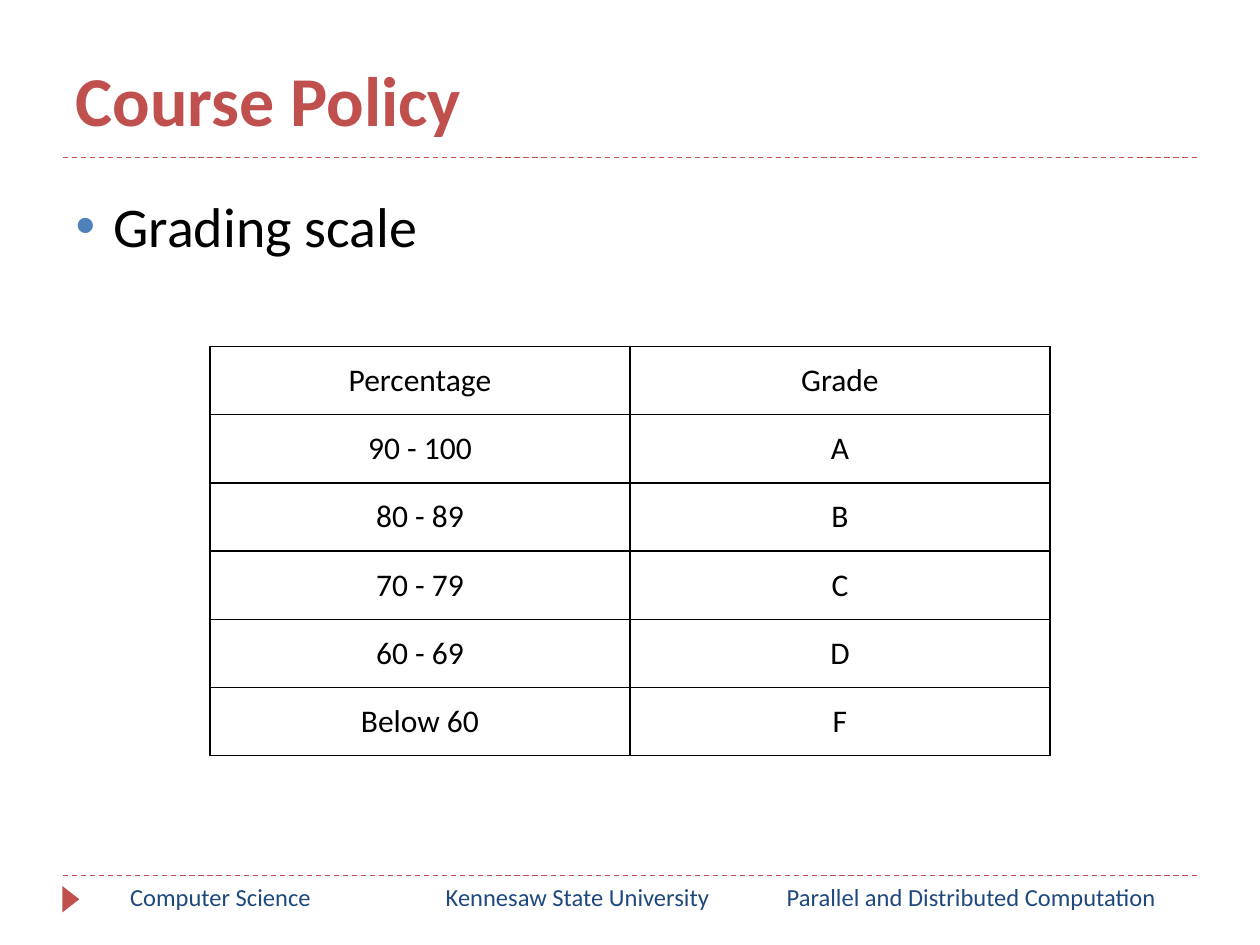
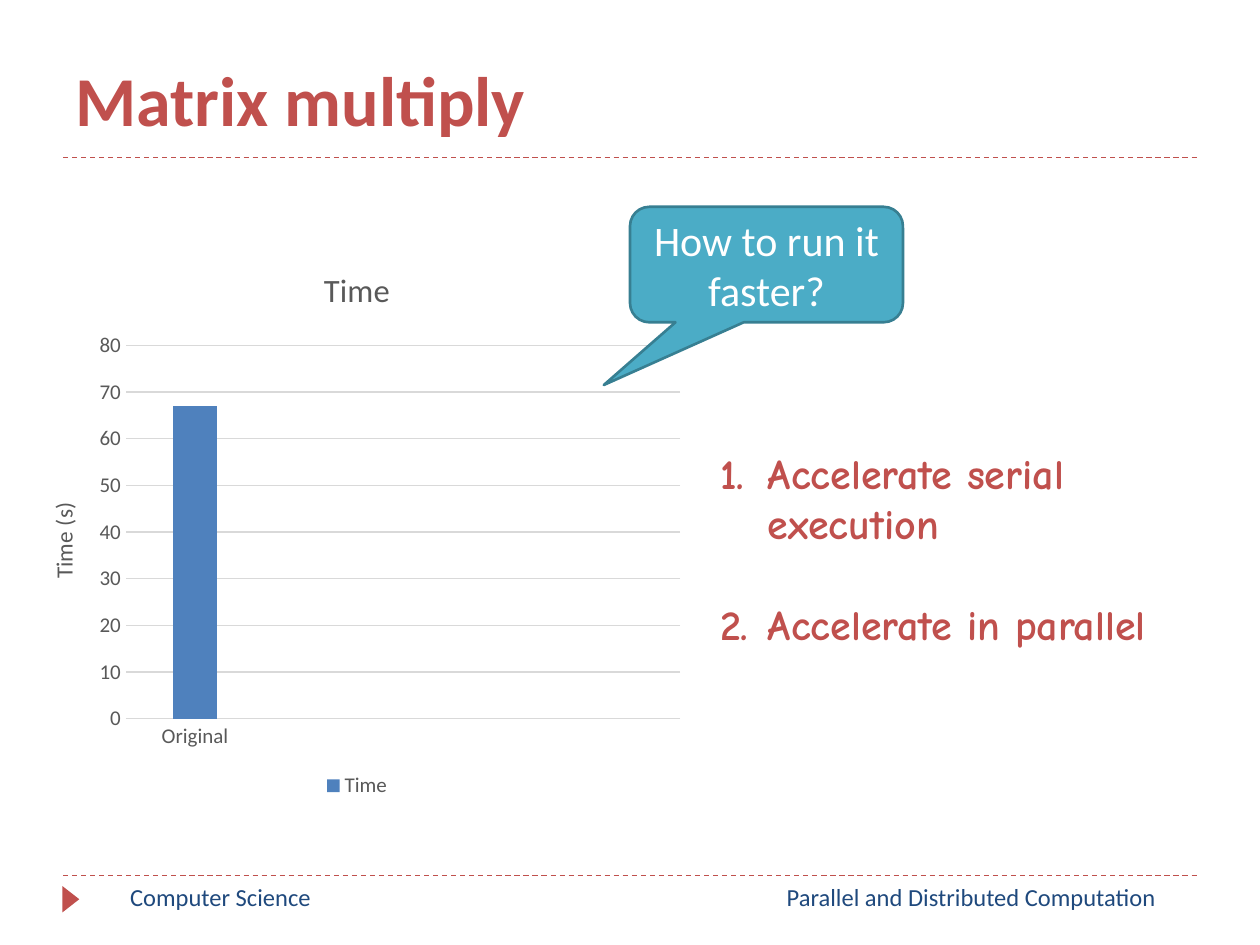
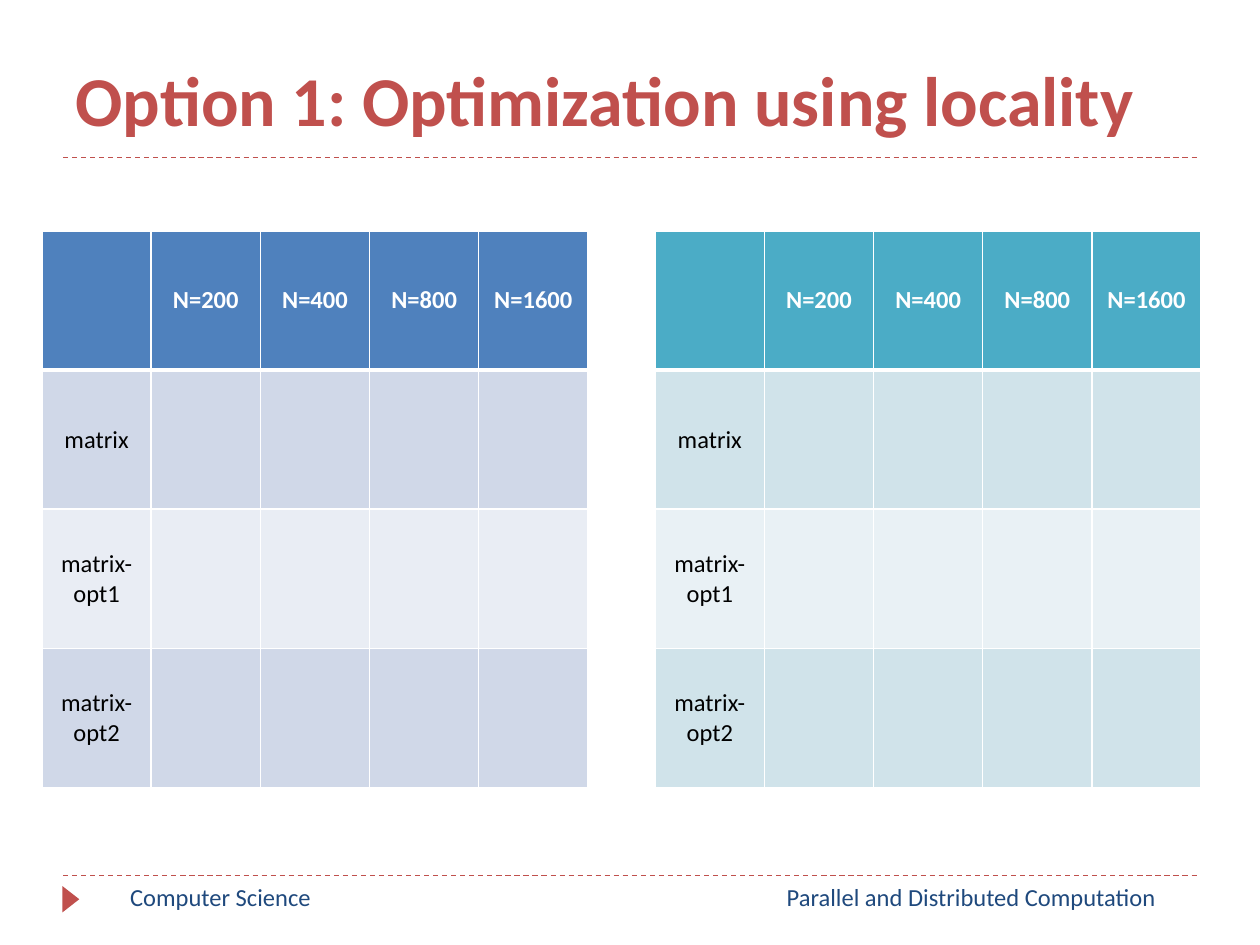
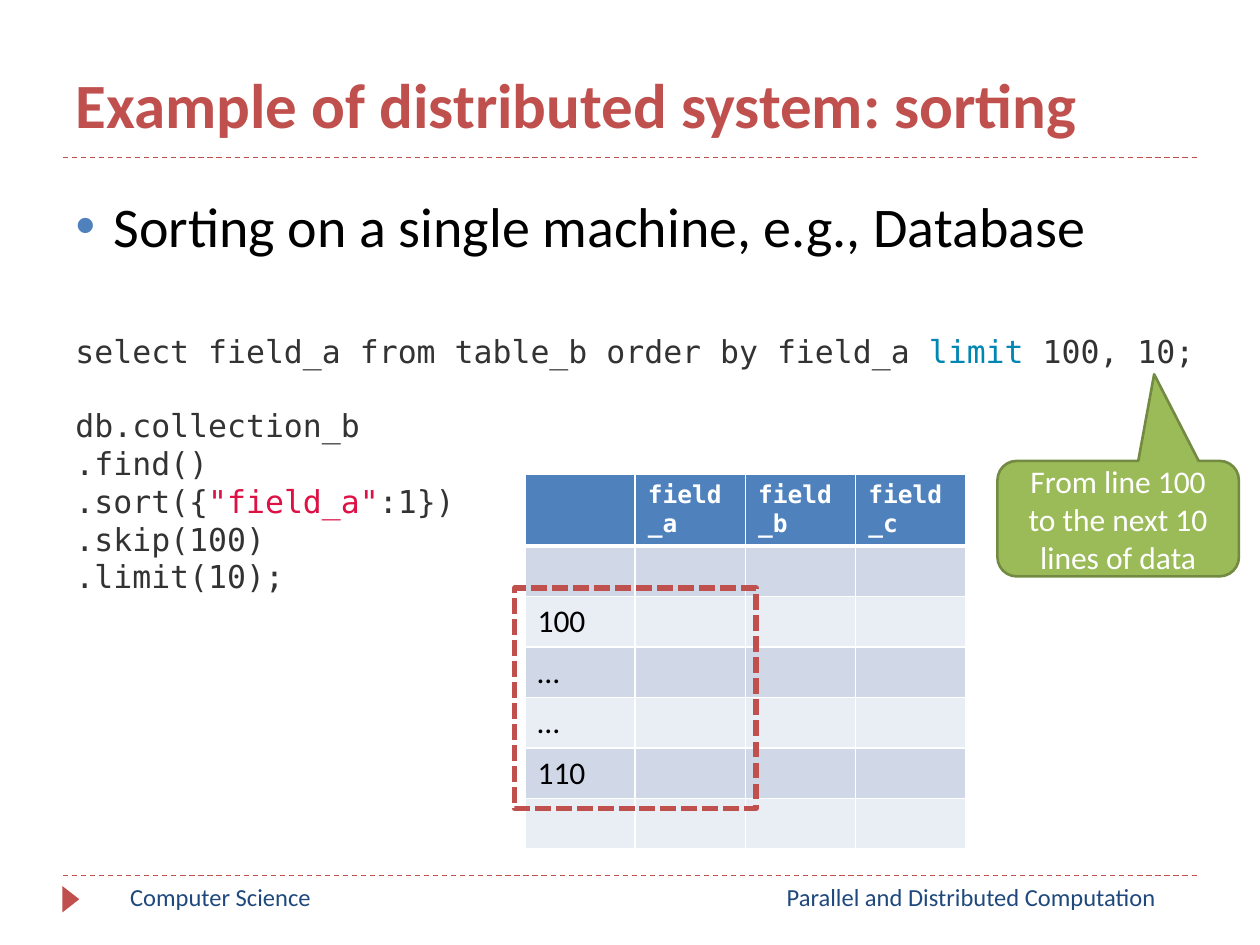
"""Builds four lecture slides on course policy, matrix multiply and sorting."""
from lxml.etree import SubElement
from pptx import Presentation
from pptx.chart.data import CategoryChartData
from pptx.dml.color import RGBColor
from pptx.enum.chart import XL_CHART_TYPE, XL_LEGEND_POSITION, XL_TICK_MARK
from pptx.enum.dml import MSO_LINE
from pptx.enum.shapes import MSO_CONNECTOR, MSO_SHAPE
from pptx.enum.text import MSO_ANCHOR, MSO_AUTO_SIZE, PP_ALIGN
from pptx.oxml.ns import qn
from pptx.util import Inches, Pt

RED = RGBColor(0xC0, 0x50, 0x4D)
NAVY = RGBColor(0x1F, 0x49, 0x7D)
BLUE = RGBColor(0x4F, 0x81, 0xBD)
BLUE_BANDS = (RGBColor(0xD0, 0xD8, 0xE8), RGBColor(0xE9, 0xED, 0xF4))
TEAL = RGBColor(0x4B, 0xAC, 0xC6)
TEAL_EDGE = RGBColor(0x37, 0x7F, 0x92)
TEAL_BANDS = (RGBColor(0xD0, 0xE3, 0xEA), RGBColor(0xE9, 0xF1, 0xF5))
GREEN = RGBColor(0x9B, 0xBB, 0x59)
GREEN_EDGE = RGBColor(0x73, 0x8A, 0x42)
BLACK = RGBColor(0, 0, 0)
WHITE = RGBColor(0xFF, 0xFF, 0xFF)
GRAY = RGBColor(0x59, 0x59, 0x59)
PALE_GRAY = RGBColor(0xD9, 0xD9, 0xD9)
CODE_GRAY = RGBColor(0x33, 0x33, 0x33)
CODE_BLUE = RGBColor(0x00, 0x86, 0xB3)
CODE_RED = RGBColor(0xDD, 0x11, 0x44)

SANS, HAND, MONO = "Calibri", "Comic Neue", "DejaVu Sans Mono"
WIDTH, HEIGHT = Inches(10), Inches(7.5)
COLUMNS, ROWS = 120, 90

DEPARTMENT = ("Computer Science", 8, 26)
UNIVERSITY = ("Kennesaw State University", 32, 46)
COURSE = ("Parallel and Distributed Computation", 71, 43)
RULE_ROWS = (83.4, 15)

GRADES = [
    ("Percentage", "Grade"),
    ("90 - 100", "A"),
    ("80 - 89", "B"),
    ("70 - 79", "C"),
    ("60 - 69", "D"),
    ("Below 60", "F"),
]
TIMES = {"name": "Time", "axis": "Time (s)",
         "categories": ["Original", "", "", ""], "values": [67, None, None, None]}
PLOT_SHARES = {"x": 0.156, "y": 0.182, "w": 0.825, "h": 0.667}
STEPS = ["Accelerate serial execution", "Accelerate in parallel"]
LOCALITY = [
    ["", "N=200", "N=400", "N=800", "N=1600"],
    ["matrix", "", "", "", ""],
    ["matrix-opt1", "", "", "", ""],
    ["matrix-opt2", "", "", "", ""],
]
FIELDS = [["", "field_a", "field_b", "field_c"]] + [
    [label, "", "", ""] for label in ("", "100", "…", "…", "110", "")]
QUERIES = [
    [[("select field_a from table_b order by field_a ", CODE_GRAY),
      ("limit", CODE_BLUE), (" 100, 10;", CODE_GRAY)]],
    [[("db.collection_b", CODE_GRAY)],
     [(".find()", CODE_GRAY)],
     [(".sort({", CODE_GRAY), ('"field_a"', CODE_RED), (":1})", CODE_GRAY)],
     [(".skip(100)", CODE_GRAY)],
     [(".limit(10);", CODE_GRAY)]],
]


def across(columns):
    return round(WIDTH * columns / COLUMNS)


def down(rows):
    return round(HEIGHT * rows / ROWS)


def area(left, top, width, height):
    return across(left), down(top), across(width), down(height)


def style(font, size, color, name=SANS, bold=False):
    font.size, font.name, font.bold = Pt(size), name, bold
    font.color.rgb = color


def place(shape, box):
    shape.left, shape.top, shape.width, shape.height = area(*box)
    shape.text_frame.auto_size = MSO_AUTO_SIZE.NONE


def hang(paragraph, inches):
    properties = paragraph._p.get_or_add_pPr()
    properties.set("marL", str(Inches(inches)))
    properties.set("indent", str(-Inches(inches)))
    return properties


def add_footer(slide, label, left, width):
    footer = slide.shapes.add_textbox(*area(left, 83.4, width, 4.8)).text_frame
    footer.word_wrap = True
    footer.text = label
    footer.paragraphs[0].alignment = PP_ALIGN.CENTER
    style(footer.paragraphs[0].runs[0].font, 14, NAVY)


def start_slide(deck, heading, size=40, bullet=None, bullet_rows=0, footers=(DEPARTMENT, COURSE)):
    slide = deck.slides.add_slide(deck.slide_layouts[1 if bullet else 5])
    for row in RULE_ROWS:
        rule = slide.shapes.add_connector(
            MSO_CONNECTOR.STRAIGHT, across(6), down(row), across(114), down(row))
        rule.line.color.rgb, rule.line.width = RED, Pt(0.75)
        rule.line.dash_style = MSO_LINE.DASH
        SubElement(rule._element.spPr, qn("a:effectLst"))
    marker = slide.shapes.add_shape(MSO_SHAPE.ISOSCELES_TRIANGLE, *area(5.5, 84.84, 2.5, 1.6))
    marker.rotation = 90
    marker.shadow.inherit = False
    marker.fill.solid()
    marker.fill.fore_color.rgb = RED
    marker.line.fill.background()

    title = slide.shapes.title
    place(title, (6, 1, 108, 13))
    title.text_frame.vertical_anchor = MSO_ANCHOR.BOTTOM
    title.text_frame.text = heading
    title.text_frame.paragraphs[0].alignment = PP_ALIGN.LEFT
    style(title.text_frame.paragraphs[0].runs[0].font, size, RED, bold=True)

    if bullet:
        body = slide.placeholders[1]
        place(body, (6, 16, 108, bullet_rows))
        body.text_frame.text = bullet
        point = body.text_frame.paragraphs[0]
        point.line_spacing, point.space_before = 1.25, Pt(0)
        properties = hang(point, 0.3)
        SubElement(SubElement(properties, qn("a:buClr")), qn("a:srgbClr"), val=str(BLUE))
        SubElement(properties, qn("a:buFont"), typeface="Arial")
        SubElement(properties, qn("a:buChar"), char="•")
        style(point.runs[0].font, 32, BLACK)
    for footer in footers:
        add_footer(slide, *footer)
    return slide


def add_border(cell, side, color, width):
    line = SubElement(cell._tc.get_or_add_tcPr(), qn(f"a:ln{side}"), w=str(Pt(width)))
    SubElement(SubElement(line, qn("a:solidFill")), qn("a:srgbClr"), val=str(color))


def add_grid(slide, cells, box, header_rows, size, header=None, bands=None,
             header_font=(14, SANS), centered=True):
    grid = slide.shapes.add_table(len(cells), len(cells[0]), *area(*box)).table
    grid.first_row = grid.horz_banding = False
    for column in grid.columns:
        column.width = across(box[2] / len(cells[0]))
    for r, labels in enumerate(cells):
        heading = bool(header) and r == 0
        grid.rows[r].height = down(
            header_rows if r == 0 else (box[3] - header_rows) / (len(cells) - 1))
        for c, label in enumerate(labels):
            cell = grid.cell(r, c)
            heavy = {"B": 0, "T": 1}
            for side in "LRTB":
                thick = header and heavy.get(side) == r
                add_border(cell, side, WHITE if header else BLACK, 3 if thick else 1)
            if header:
                cell.fill.solid()
                cell.fill.fore_color.rgb = header if heading else bands[(r - 1) % 2]
            else:
                cell.fill.background()
            if not label:
                continue
            cell.text_frame.text = label
            paragraph = cell.text_frame.paragraphs[0]
            if centered:
                cell.vertical_anchor = MSO_ANCHOR.MIDDLE
                paragraph.alignment = PP_ALIGN.CENTER
            if heading:
                style(paragraph.runs[0].font, header_font[0], WHITE, header_font[1], True)
            else:
                style(paragraph.runs[0].font, size, BLACK)


def add_callout(slide, remark, box, tail, fill, edge, size):
    callout = slide.shapes.add_shape(MSO_SHAPE.ROUNDED_RECTANGULAR_CALLOUT, *area(*box))
    callout.adjustments[0], callout.adjustments[1] = tail
    callout.shadow.inherit = False
    callout.fill.solid()
    callout.fill.fore_color.rgb = fill
    callout.line.color.rgb, callout.line.width = edge, Pt(1.5)
    callout.text_frame.text = remark
    callout.text_frame.vertical_anchor = MSO_ANCHOR.MIDDLE
    callout.text_frame.paragraphs[0].alignment = PP_ALIGN.CENTER
    style(callout.text_frame.paragraphs[0].runs[0].font, size, WHITE)


def add_time_chart(slide):
    timing = CategoryChartData()
    timing.categories = TIMES["categories"]
    timing.add_series(TIMES["name"], TIMES["values"])
    chart = slide.shapes.add_chart(
        XL_CHART_TYPE.COLUMN_CLUSTERED, *area(2, 23.2, 64, 53.3), timing).chart
    style(chart.font, 12, GRAY)
    chart.has_title = True
    chart.chart_title.text_frame.text = TIMES["name"]
    style(chart.chart_title.text_frame.paragraphs[0].runs[0].font, 18.6, GRAY)
    chart.has_legend = True
    chart.legend.position = XL_LEGEND_POSITION.BOTTOM
    chart.legend.include_in_layout = False
    style(chart.legend.font, 12, GRAY)

    bars = chart.plots[0]
    bars.gap_width, bars.overlap, bars.vary_by_categories = 219, -27, False
    bars.series[0].format.fill.solid()
    bars.series[0].format.fill.fore_color.rgb = BLUE
    for axis in (chart.category_axis, chart.value_axis):
        axis.major_tick_mark = axis.minor_tick_mark = XL_TICK_MARK.NONE
        style(axis.tick_labels.font, 12, GRAY)
    seconds = chart.value_axis
    seconds.minimum_scale, seconds.maximum_scale, seconds.major_unit = 0, 80, 10
    seconds.format.line.fill.background()
    for line in (chart.category_axis.format.line, seconds.major_gridlines.format.line):
        line.color.rgb, line.width = PALE_GRAY, Pt(0.75)
    seconds.axis_title.text_frame.text = TIMES["axis"]
    style(seconds.axis_title.text_frame.paragraphs[0].runs[0].font, 13.3, GRAY)

    plot_area = chart._chartSpace.chart.plotArea
    layout = plot_area.find(qn("c:layout"))
    if layout is None:
        layout = SubElement(plot_area, qn("c:layout"))
        plot_area.insert(0, layout)
    manual = SubElement(layout, qn("c:manualLayout"))
    SubElement(manual, qn("c:layoutTarget"), val="inner")
    for key in "xy":
        SubElement(manual, qn(f"c:{key}Mode"), val="edge")
    for key, share in PLOT_SHARES.items():
        SubElement(manual, qn(f"c:{key}"), val=str(share))


def add_steps(slide):
    steps = slide.shapes.add_textbox(*area(67.4, 42, 50.4, 15.7)).text_frame
    steps.word_wrap = True
    for i, step in enumerate(STEPS):
        paragraph = steps.add_paragraph() if i else steps.paragraphs[0]
        paragraph.text = step
        if i:
            paragraph.space_before = Pt(29)
        SubElement(hang(paragraph, 0.38), qn("a:buAutoNum"), type="arabicPeriod")
        style(paragraph.runs[0].font, 24, RED, HAND, True)


def add_queries(slide):
    code = slide.shapes.add_textbox(*area(6, 31, 110, 26.6)).text_frame
    code.word_wrap = True
    paragraph = code.paragraphs[0]
    for q, query in enumerate(QUERIES):
        for n, tokens in enumerate(query):
            if q or n:
                paragraph = code.add_paragraph()
            if q and n == 0:
                paragraph.space_before = Pt(21)
            for token, color in tokens:
                run = paragraph.add_run()
                run.text = token
                style(run.font, 18, color, MONO)


def main():
    deck = Presentation()
    deck.slide_width, deck.slide_height = WIDTH, HEIGHT

    policy = start_slide(deck, "Course Policy", bullet="Grading scale", bullet_rows=64.8,
                         footers=(UNIVERSITY, DEPARTMENT, COURSE))
    add_grid(policy, GRADES, (20, 33, 80, 39), 6.5, 18)

    multiply = start_slide(deck, "Matrix multiply")
    add_time_chart(multiply)
    add_callout(multiply, "How to run it faster?", (60, 19.7, 26, 11),
                (-0.596, 1.043), TEAL, TEAL_EDGE, 24)
    add_steps(multiply)

    locality = start_slide(deck, "Option 1: Optimization using locality")
    for left, header, bands in ((4, BLUE, BLUE_BANDS), (62.4, TEAL, TEAL_BANDS)):
        add_grid(locality, LOCALITY, (left, 22, 52, 53), 13.25, 14, header, bands)

    sorting = start_slide(deck, "Example of distributed system: sorting", 36,
                          "Sorting on a single machine, e.g., Database", 12)
    add_queries(sorting)
    add_grid(sorting, FIELDS, (50, 45.2, 42, 35.6), 6.8, 18, BLUE, BLUE_BANDS,
             (14, MONO), centered=False)
    add_callout(sorting, "From line 100 to the next 10 lines of data", (95, 43.9, 23, 11),
                (0.149, -1.25), GREEN, GREEN_EDGE, 18)
    selection = sorting.shapes.add_shape(MSO_SHAPE.RECTANGLE, *area(49, 56, 23, 21))
    selection.shadow.inherit = False
    selection.fill.background()
    selection.line.color.rgb, selection.line.width = RED, Pt(3)
    selection.line.dash_style = MSO_LINE.SQUARE_DOT

    deck.save("out.pptx")


if __name__ == "__main__":
    main()
